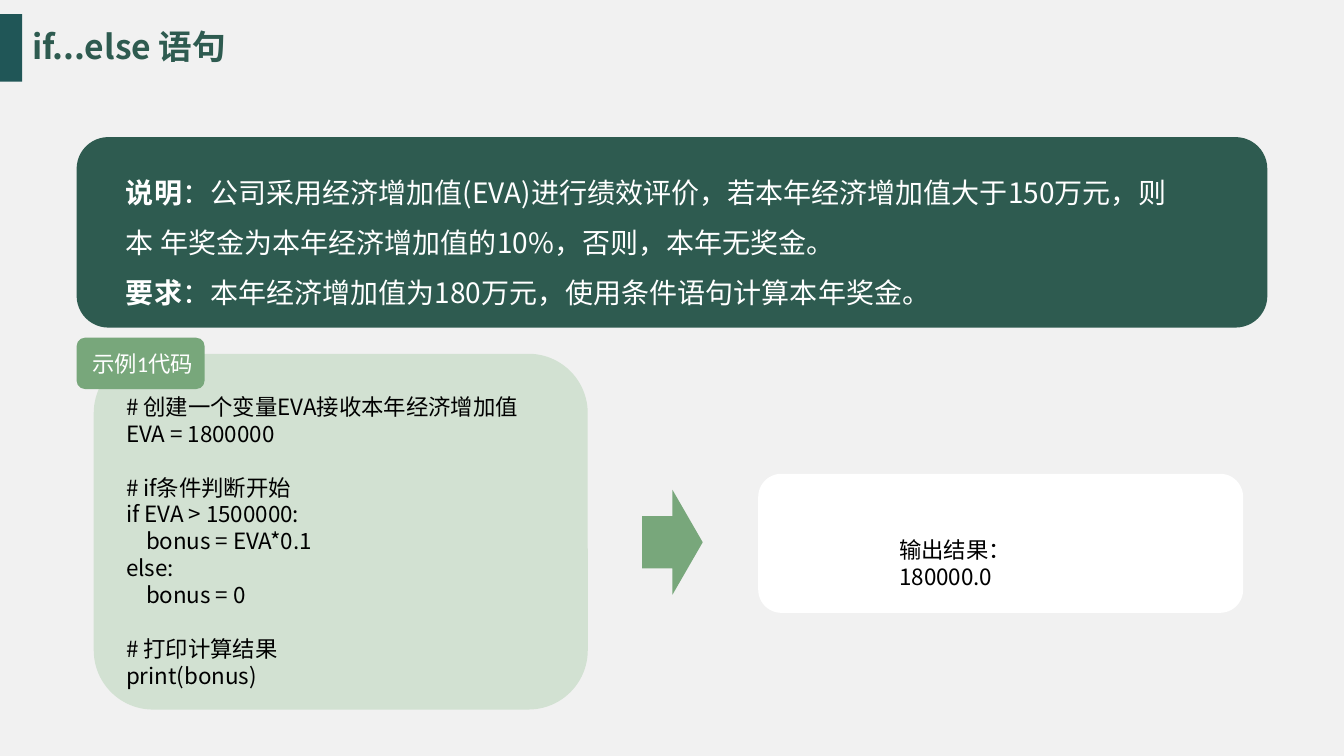
from lxml import etree
from pptx import Presentation
from pptx.dml.color import RGBColor
from pptx.enum.shapes import MSO_SHAPE
from pptx.enum.text import MSO_ANCHOR, PP_ALIGN
from pptx.oxml.ns import qn
from pptx.util import Inches, Pt

RECTANGLE = MSO_SHAPE.RECTANGLE
ROUNDED = MSO_SHAPE.ROUNDED_RECTANGLE
ARROW = MSO_SHAPE.RIGHT_ARROW
LEFT = PP_ALIGN.LEFT
TOP, MIDDLE = MSO_ANCHOR.TOP, MSO_ANCHOR.MIDDLE

FONT = "Noto Sans CJK SC"
COLORS = {
    "background": "F1F1F1",
    "accent": "205657",
    "dark": "2E5B50",
    "green": "78A77B",
    "pale": "D2E1D2",
    "white": "FFFFFF",
    "black": "000000",
}


def add_panel(kind, left, top, width, height, color):
    shape = slide.shapes.add_shape(
        kind, Inches(left), Inches(top), Inches(width), Inches(height))
    shape.shadow.inherit = False
    shape.fill.solid()
    shape.fill.fore_color.rgb = RGBColor.from_string(COLORS[color])
    shape.line.fill.background()
    return shape


def write_text(shape, paragraphs, size, color, pitch, anchor=TOP, left_inset=0):
    """Each paragraph is (space before, [(text, bold, latin font), ...])."""
    frame = shape.text_frame
    frame.word_wrap = True
    frame.vertical_anchor = anchor
    frame.margin_left = Inches(left_inset)
    frame.margin_top = frame.margin_right = frame.margin_bottom = 0
    for index, (space_before, runs) in enumerate(paragraphs):
        paragraph = frame.add_paragraph() if index else frame.paragraphs[0]
        paragraph.alignment = LEFT
        paragraph.line_spacing = Pt(pitch)
        paragraph.space_before = Pt(space_before)
        for text, bold, latin in runs:
            run = paragraph.add_run()
            run.text = text
            run.font.size = Pt(size)
            run.font.bold = bold
            run.font.color.rgb = RGBColor.from_string(COLORS[color])
            run.font.name = latin
            east_asian = etree.SubElement(run.font._element, qn("a:ea"))
            east_asian.set("typeface", FONT)


presentation = Presentation()
presentation.slide_width = Inches(13.33)
presentation.slide_height = Inches(7.5)
slide = presentation.slides.add_slide(presentation.slide_layouts[6])
slide.background.fill.solid()
slide.background.fill.fore_color.rgb = RGBColor.from_string(COLORS["background"])

# Title with its accent bar
add_panel(RECTANGLE, 0, 0.14, 0.22, 0.67, "accent")
title = slide.shapes.add_textbox(Inches(0.32), Inches(0.26), Inches(2.6), Inches(0.43))
write_text(title, [(0, [("if...else 语句", True, FONT)])], 24, "dark", 28.8)

# Task description
add_panel(ROUNDED, 0.76, 1.36, 11.81, 1.89, "dark")
task = slide.shapes.add_textbox(Inches(1.25), Inches(1.57), Inches(10.6), Inches(1.53))
task_lines = [
    ("说明", "：公司采用经济增加值(EVA)进行绩效评价，若本年经济增加值大于150万元，则"
             "本 年奖金为本年经济增加值的10%，否则，本年无奖金。"),
    ("要求", "：本年经济增加值为180万元，使用条件语句计算本年奖金。"),
]
write_text(task, [(0, [(head, True, FONT), (body, False, FONT)])
                  for head, body in task_lines], 20, "white", 36)

# Code panel and its label
add_panel(ROUNDED, 0.93, 3.51, 4.9, 3.53, "pale")
label = add_panel(ROUNDED, 0.76, 3.35, 1.27, 0.51, "green")
label_runs = [("示例", False, FONT), ("1", False, "Calibri"), ("代码", False, FONT)]
write_text(label, [(0, label_runs)], 16, "white", 19.2, MIDDLE, 0.13)
label.text_frame.word_wrap = False

# Code: a gap of one line precedes each new block
CODE_PITCH = 19.2
code_blocks = [
    ["# 创建一个变量EVA接收本年经济增加值 EVA = 1800000"],
    ["# if条件判断开始", "if EVA > 1500000:", "    bonus = EVA*0.1",
     "else:", "    bonus = 0"],
    ["# 打印计算结果", "print(bonus)"],
]
code_paragraphs = [
    (CODE_PITCH if block_index and not line_index else 0, [(line, False, FONT)])
    for block_index, block in enumerate(code_blocks)
    for line_index, line in enumerate(block)
]
code = slide.shapes.add_textbox(Inches(1.25), Inches(3.9), Inches(3.92), Inches(2.95))
write_text(code, code_paragraphs, 16, "black", CODE_PITCH)

# Arrow to the output
add_panel(ARROW, 6.37, 4.86, 0.6, 1.04, "green")
add_panel(ROUNDED, 7.52, 4.7, 4.81, 1.38, "white")
output = slide.shapes.add_textbox(Inches(8.92), Inches(5.32), Inches(2.03), Inches(0.54))
write_text(output, [(0, [(line, False, FONT)]) for line in ("输出结果：", "180000.0")],
           16, "black", CODE_PITCH)

presentation.save("out.pptx")
